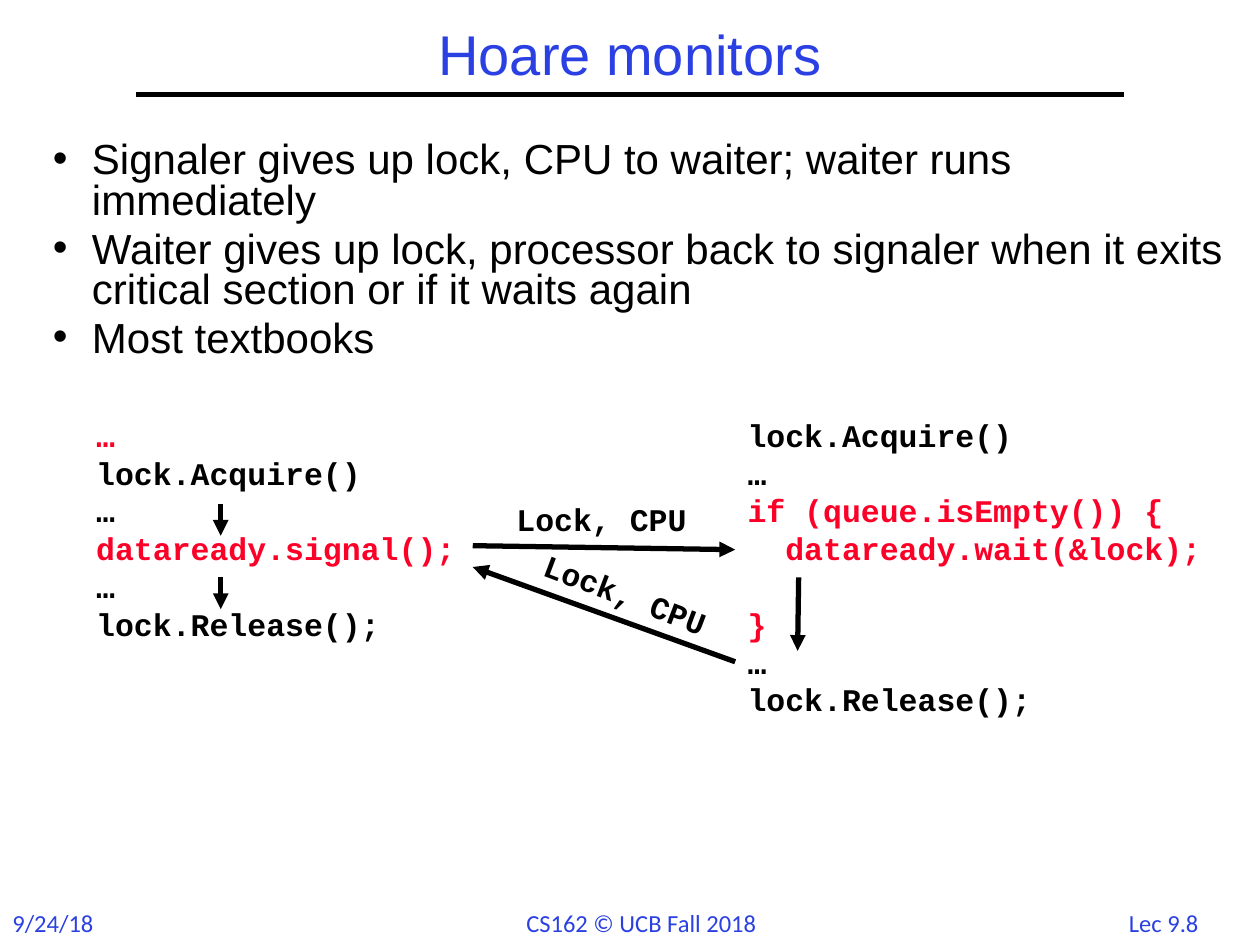
from dataclasses import dataclass

from lxml.etree import SubElement
from pptx import Presentation
from pptx.dml.color import RGBColor
from pptx.enum.shapes import MSO_CONNECTOR as Connector
from pptx.enum.text import MSO_ANCHOR as Anchor, MSO_AUTO_SIZE as AutoSize, PP_ALIGN as Align
from pptx.oxml.ns import qn
from pptx.slide import Slide
from pptx.util import Cm, Pt


@dataclass(frozen=True)
class Theme:
    blue: RGBColor = RGBColor(0x2A, 0x40, 0xE2)
    black: RGBColor = RGBColor(0, 0, 0)
    red: RGBColor = RGBColor(0xFC, 0x01, 0x28)
    text_font: str = "Arial"
    code_font: str = "Courier New"
    footer_font: str = "Calibri"
    title_size: int = 32
    body_size: int = 24
    code_size: int = 18
    footer_size: int = 14
    line_width: int = 3


THEME = Theme()


@dataclass(frozen=True)
class Area:
    left: float
    top: float
    width: float
    height: float

    def lengths(self) -> tuple:
        return Cm(self.left), Cm(self.top), Cm(self.width), Cm(self.height)


@dataclass(frozen=True)
class Piece:
    """Code in one colour; newlines are line breaks within the paragraph."""
    text: str
    color: RGBColor = THEME.black


@dataclass(frozen=True)
class CodeBlock:
    area: Area
    paragraphs: tuple[tuple[Piece, ...], ...]
    rotation: float = 0


@dataclass(frozen=True)
class Line:
    start: tuple[float, float]
    end: tuple[float, float]
    arrow: bool = True


@dataclass(frozen=True)
class Footer:
    text: str
    area: Area
    align: Align = Align.LEFT


def add_span(para, text: str, font: str, size: int, color: RGBColor, bold: bool = False) -> None:
    span = para.add_run()
    span.text = text
    span.font.name = font
    span.font.size = Pt(size)
    span.font.color.rgb = color
    span.font.bold = bold


def next_para(frame, index: int):
    return frame.paragraphs[0] if index == 0 else frame.add_paragraph()


def place(shape, area: Area) -> None:
    shape.left, shape.top, shape.width, shape.height = area.lengths()
    shape.text_frame.auto_size = AutoSize.NONE


def fill_title(slide: Slide, text: str, area: Area) -> None:
    title = slide.shapes.title
    place(title, area)
    title.text_frame.vertical_anchor = Anchor.MIDDLE
    para = title.text_frame.paragraphs[0]
    para.alignment = Align.CENTER
    para.line_spacing = 0.9
    add_span(para, text, THEME.text_font, THEME.title_size, THEME.blue)


def fill_body(slide: Slide, points: tuple[str, ...], area: Area) -> None:
    body = slide.placeholders[1]
    place(body, area)
    for index, point in enumerate(points):
        para = next_para(body.text_frame, index)
        para.line_spacing = 0.8
        para.space_before = Pt(0.2 * THEME.body_size)
        properties = para._p.get_or_add_pPr()
        properties.set("marL", str(Cm(0.79)))
        properties.set("indent", str(Cm(-0.79)))
        SubElement(properties, qn("a:buChar"), char="•")
        add_span(para, point, THEME.text_font, THEME.body_size, THEME.black)


def add_code(slide: Slide, block: CodeBlock) -> None:
    box = slide.shapes.add_textbox(*block.area.lengths())
    box.rotation = block.rotation
    box.text_frame.word_wrap = True
    for index, pieces in enumerate(block.paragraphs):
        para = next_para(box.text_frame, index)
        for piece in pieces:
            for row, text in enumerate(piece.text.split("\n")):
                if row:
                    para.add_line_break()
                if text:
                    add_span(para, text, THEME.code_font, THEME.code_size, piece.color, True)


def add_line(slide: Slide, line: Line) -> None:
    ends = [Cm(value) for value in (*line.start, *line.end)]
    connector = slide.shapes.add_connector(Connector.STRAIGHT, *ends)
    connector.line.color.rgb = THEME.black
    connector.line.width = Pt(THEME.line_width)
    if line.arrow:
        SubElement(connector.line._get_or_add_ln(), qn("a:tailEnd"), type="triangle")
    SubElement(connector._element.spPr, qn("a:effectLst"))


def add_footer(slide: Slide, footer: Footer) -> None:
    box = slide.shapes.add_textbox(*footer.area.lengths())
    box.text_frame.word_wrap = True
    para = box.text_frame.paragraphs[0]
    para.alignment = footer.align
    add_span(para, footer.text, THEME.footer_font, THEME.footer_size, THEME.blue)


FOOTERS = (
    Footer("Lec 9.8", Area(22.28, 18.19, 2.36, 0.86), Align.CENTER),
    Footer("9/24/18", Area(0, 18.19, 2.6, 0.86)),
    Footer("CS162 © UCB Fall 2018", Area(10.36, 18.19, 5.6, 0.86)),
)

POINTS = (
    "Signaler gives up lock, CPU to waiter; waiter runs immediately",
    "Waiter gives up lock, processor back to signaler when it exits "
    "critical section or if it waits again",
    "Most textbooks",
)

ACQUIRE, DOTS, RELEASE = (Piece("lock.Acquire()"),), (Piece("…"),), (Piece("lock.Release();"),)
HANDOVER = ((Piece("Lock, CPU"),),)

CODE_BLOCKS = (
    # Waiter
    CodeBlock(Area(14.82, 8.26, 9.74, 5.64), (
        ACQUIRE,
        DOTS,
        (Piece("if (queue.isEmpty()) {\n  dataready.wait(&lock); \n}\n", THEME.red), Piece("…")),
        RELEASE,
    )),
    # Signaler
    CodeBlock(Area(1.69, 8.26, 9.74, 4.87), (
        (Piece("…", THEME.red),),
        ACQUIRE,
        DOTS,
        (Piece("dataready.signal();", THEME.red),),
        DOTS,
        RELEASE,
    )),
    # Labels on the two handovers
    CodeBlock(Area(10.16, 9.95, 4.23, 1.02), HANDOVER),
    CodeBlock(Area(10.64, 11.48, 3.99, 1.02), HANDOVER, 20.8),
)

LINES = (
    Line((2.75, 1.91), (22.65, 1.91), arrow=False),  # title rule
    Line((9.53, 11), (14.82, 11.08)),  # signaler to waiter
    Line((14.82, 13.34), (9.53, 11.43)),  # waiter back to signaler
    Line((4.45, 10.16), (4.45, 10.8)),  # signaler before the signal
    Line((4.45, 11.64), (4.45, 12.28)),  # signaler after the signal
    Line((16.1, 11.64), (16.08, 13.12)),  # waiter running
)


def main() -> None:
    deck = Presentation()
    deck.slide_width, deck.slide_height = Cm(25.4), Cm(19.05)
    page = deck.slides.add_slide(deck.slide_layouts[1])
    fill_title(page, "Hoare monitors", Area(2.75, 0.42, 19.9, 1.48))
    fill_body(page, POINTS, Area(0.81, 2.75, 24.56, 5.29))
    for block in CODE_BLOCKS:
        add_code(page, block)
    for line in LINES:
        add_line(page, line)
    for footer in FOOTERS:
        add_footer(page, footer)
    deck.save("out.pptx")


if __name__ == "__main__":
    main()
